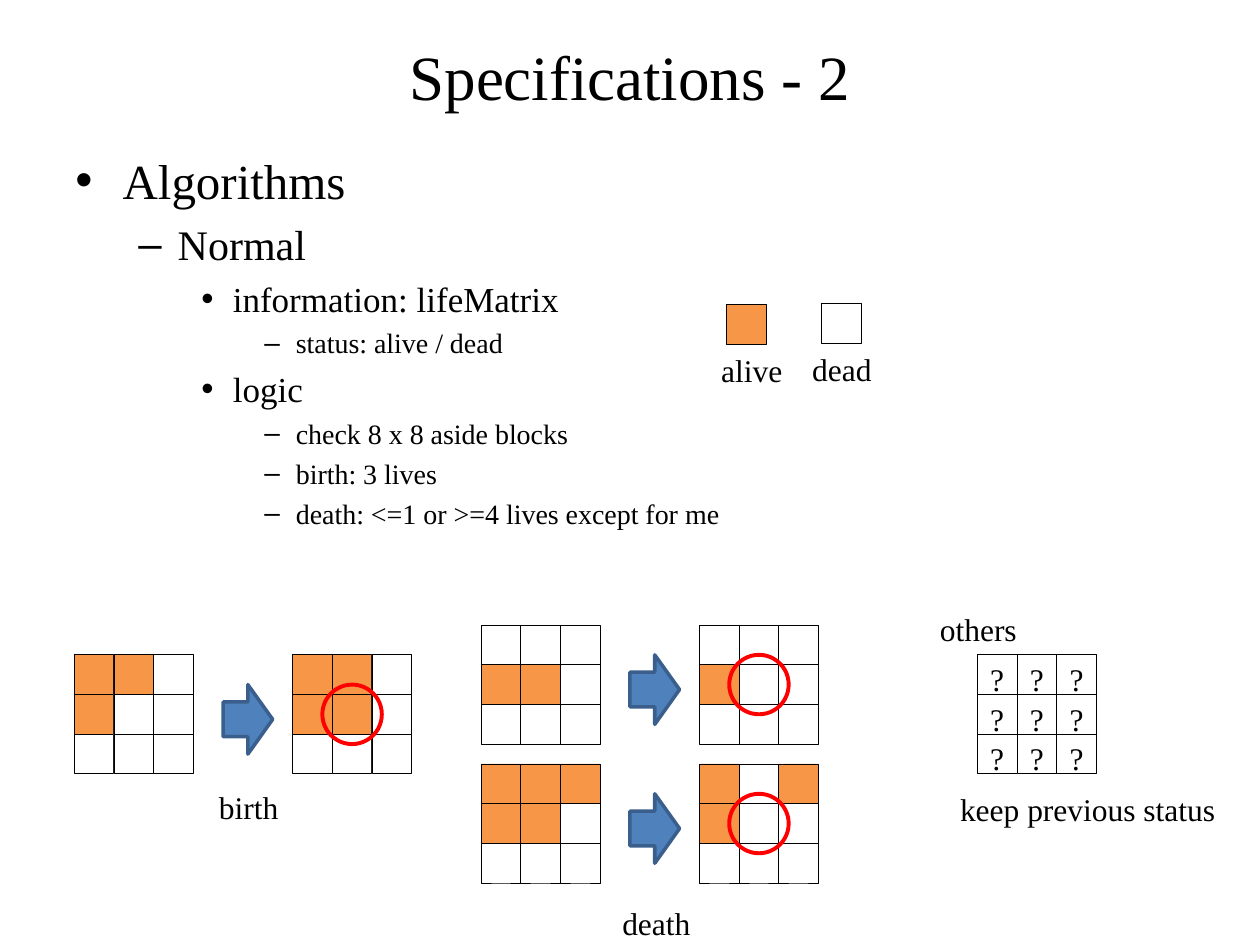
import pptx
import pptx.util
import pptx.dml.color
import pptx.enum.shapes
import pptx.enum.text
import pptx.oxml.ns
from dataclasses import dataclass
from lxml import etree

Pt = pptx.util.Pt
SHAPE = pptx.enum.shapes.MSO_SHAPE
ALIGN = pptx.enum.text.PP_ALIGN
ANCHOR = pptx.enum.text.MSO_ANCHOR


@dataclass(frozen=True)
class Theme:
    font: str = "Times New Roman"
    text: str = "000000"
    alive: str = "F79646"
    dead: str = "FFFFFF"
    ring: str = "FF0000"
    arrow: str = "4F81BD"
    arrow_line: str = "3A5F8C"
    title_size: int = 36
    label_size: int = 18
    level_sizes: tuple = (28, 24, 20, 16)
    # Left margin, hanging indent and bullet for each level
    levels: tuple = ((27, 27, "•"), (58.5, 22.5, "–"), (90, 18, "•"), (126, 18, "–"))


class Deck:
    cell = 22.68

    def __init__(self, prs, theme):
        self.theme = theme
        self.slide = prs.slides.add_slide(prs.slide_layouts[6])

    def color(self, value):
        return pptx.dml.color.RGBColor.from_string(value)

    def style(self, p, size):
        for r in p.runs:
            r.font.name = self.theme.font
            r.font.size = Pt(size)
            r.font.color.rgb = self.color(self.theme.text)

    def box(self, x, y, w, h, wrap=True):
        sp = self.slide.shapes.add_textbox(Pt(x), Pt(y), Pt(w), Pt(h))
        sp.text_frame.word_wrap = wrap
        return sp.text_frame

    def title(self, text, x, y, w, h):
        tf = self.box(x, y, w, h)
        tf.text = text
        tf.vertical_anchor = ANCHOR.MIDDLE
        tf.paragraphs[0].alignment = ALIGN.CENTER
        self.style(tf.paragraphs[0], self.theme.title_size)

    def label(self, text, x, y, w):
        tf = self.box(x, y, w, 29, wrap=False)
        tf.text = text
        self.style(tf.paragraphs[0], self.theme.label_size)

    def bullets(self, items, x, y, w, h):
        tf = self.box(x, y, w, h)
        for i, (level, text) in enumerate(items):
            p = tf.add_paragraph() if i else tf.paragraphs[0]
            p.text = text
            p.level = level
            size = self.theme.level_sizes[level]
            p.space_before = Pt(round(size * 0.23, 1))
            self.style(p, size)
            left, hang, char = self.theme.levels[level]
            pPr = p._p.get_or_add_pPr()
            pPr.set("marL", str(Pt(left)))
            pPr.set("indent", str(-Pt(hang)))
            font = etree.SubElement(pPr, pptx.oxml.ns.qn("a:buFont"))
            font.set("typeface", "Arial")
            bullet = etree.SubElement(pPr, pptx.oxml.ns.qn("a:buChar"))
            bullet.set("char", char)

    def shape(self, kind, x, y, w, h, fill, line, width):
        sp = self.slide.shapes.add_shape(kind, Pt(x), Pt(y), Pt(w), Pt(h))
        sp.shadow.inherit = False
        if fill:
            sp.fill.solid()
            sp.fill.fore_color.rgb = self.color(fill)
        else:
            sp.fill.background()
        sp.line.color.rgb = self.color(line)
        sp.line.width = Pt(width)
        return sp

    def block(self, x, y, state):
        """One cell: '#' is alive, '.' is dead, anything else is shown as text."""
        fill = self.theme.alive if state == "#" else self.theme.dead
        sp = self.shape(SHAPE.RECTANGLE, x, y, self.cell, self.cell, fill, self.theme.text, 0.5)
        if state not in "#.":
            tf = sp.text_frame
            tf.margin_left = tf.margin_right = tf.margin_top = tf.margin_bottom = Pt(2.88)
            tf.vertical_anchor = ANCHOR.TOP
            tf.text = state
            tf.paragraphs[0].alignment = ALIGN.CENTER
            self.style(tf.paragraphs[0], self.theme.label_size)

    def grid(self, x, y, rows):
        for i, row in enumerate(rows.split()):
            for j, state in enumerate(row):
                self.block(x + j * self.cell, y + i * self.cell, state)

    def step(self, x, y, before, after):
        """Grid before, arrow, and grid after with its centre cell ringed."""
        after_x = x + 124.7
        self.grid(x, y, before)
        self.grid(after_x, y, after)
        self.shape(SHAPE.OVAL, after_x + 17, y + 17, 34, 34, None, self.theme.ring, 2.25)
        self.shape(SHAPE.RIGHT_ARROW, x + 85, y + 17, 28.35, 39.7,
                   self.theme.arrow, self.theme.arrow_line, 2)


prs = pptx.Presentation()
prs.slide_width, prs.slide_height = Pt(720), Pt(540)
deck = Deck(prs, Theme())

# Title and outline
deck.bullets([
    (0, "Algorithms"),
    (1, "Normal"),
    (2, "information: lifeMatrix"),
    (3, "status: alive / dead"),
    (2, "logic"),
    (3, "check 8 x 8 aside blocks"),
    (3, "birth: 3 lives"),
    (3, "death: <=1 or >=4 lives except for me"),
], 36, 82.5, 648, 244)
deck.title("Specifications - 2", 36, -2, 648, 90)

# Birth and death examples
TOP = 374.2
deck.step(42.5, TOP, "##. #.. ...", "##. ##. ...")
deck.step(275, 357.2, "... ##. ...", "... #.. ...")
deck.step(275, 436.6, "### ##. ...", "#.# #.. ...")

# All other cases
deck.grid(558.5, TOP, "??? ??? ???")

# Legend
deck.block(415.4, 174, "#")
deck.block(469.6, 173.5, ".")

# Labels
for text, x, y, w in [
    ("birth", 118, 447, 49),
    ("death", 348.5, 513, 54),
    ("keep previous status", 541.5, 448, 162),
    ("others", 530, 345, 59),
    ("dead", 457, 196.5, 49),
    ("alive", 405, 197, 50),
]:
    deck.label(text, x, y, w)

prs.save("out.pptx")
